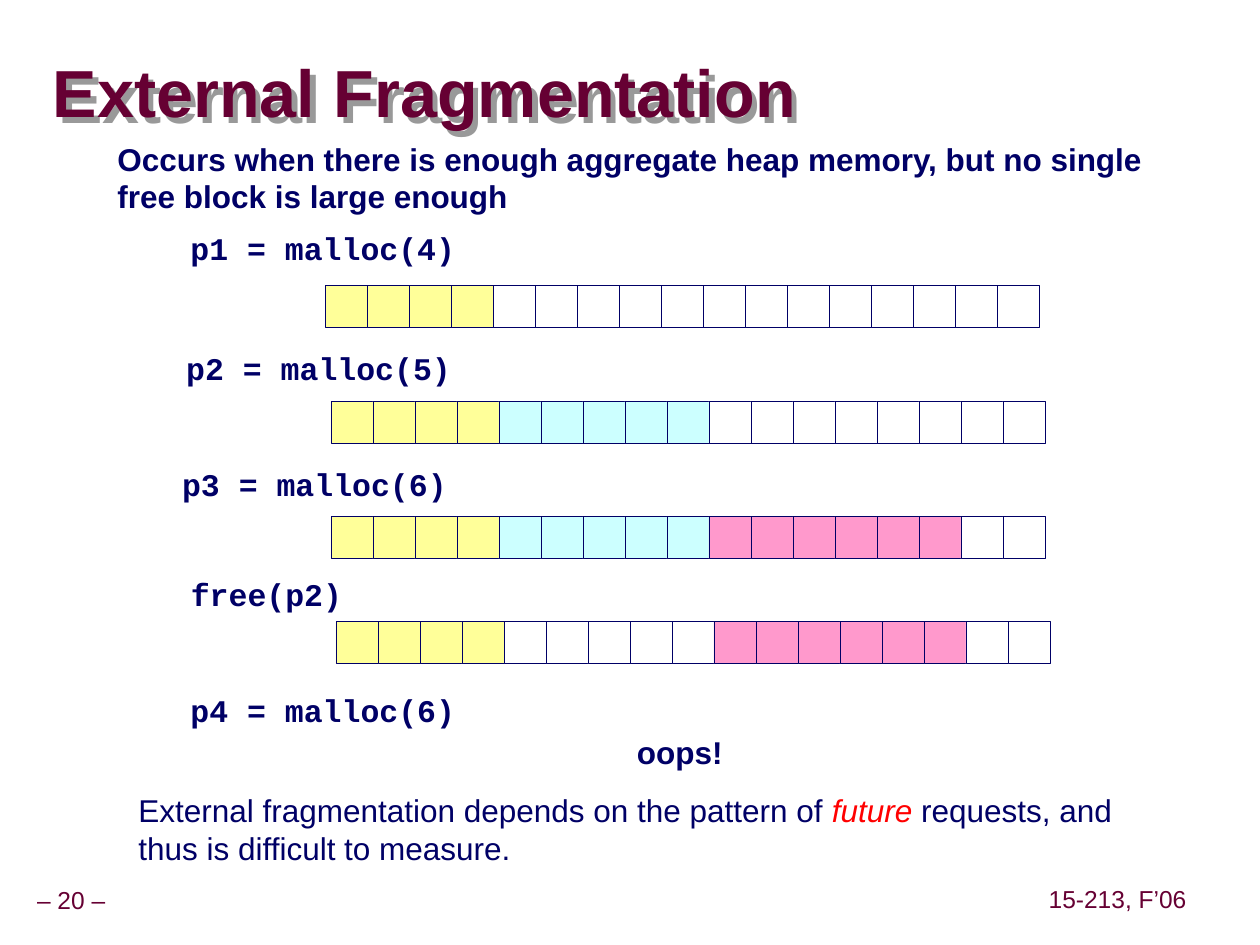
from dataclasses import dataclass
from itertools import chain, repeat

from lxml import etree
from pptx import Presentation
from pptx import util as u
from pptx.dml.color import RGBColor
from pptx.enum import shapes, text
from pptx.oxml.ns import qn
from pptx.slide import Slide

COLUMNS, ROWS = 30, 22.5
UNIT = u.Inches(10) / COLUMNS
HEAP_WORDS = 17


@dataclass(frozen=True)
class Theme:
    maroon: str = "660033"
    navy: str = "000066"
    red: str = "FF0000"
    shadow: str = "999999"
    free: str = "FFFFFF"
    p1: str = "FFFF99"
    p2: str = "CCFFFF"
    p3: str = "FF99CC"
    sans: str = "Arial"
    mono: str = "Courier New"
    title_size: float = 38
    body_size: float = 18
    footer_size: float = 14
    cell_line: float = 0.25


THEME = Theme()


@dataclass(frozen=True)
class Style:
    font: str = THEME.sans
    size: float = THEME.body_size
    color: str = THEME.navy
    bold: bool = True
    inset: tuple[float, float] = (0.1, 0.05)
    spacing: float = 1.0
    align: text.PP_ALIGN = text.PP_ALIGN.LEFT
    anchor: text.MSO_ANCHOR = text.MSO_ANCHOR.TOP
    wrap: bool = False


BODY = Style(wrap=True)
PLAIN = Style(bold=False, wrap=True)
CODE = Style(font=THEME.mono)
TITLE = Style(size=THEME.title_size, color=THEME.maroon, inset=(0, 0), spacing=0.87,
              anchor=text.MSO_ANCHOR.MIDDLE, wrap=True)
FOOTER = Style(size=THEME.footer_size, color=THEME.maroon, bold=False, inset=(0.05, 0.05),
               spacing=0.9, align=text.PP_ALIGN.CENTER, anchor=text.MSO_ANCHOR.MIDDLE)


@dataclass(frozen=True)
class Label:
    """Text placed by grid column and row, spanning a width and height in grid units."""
    content: str
    column: float
    row: float
    width: float
    height: float
    style: Style
    emphasis: str = ""
    shadow: bool = False


@dataclass(frozen=True)
class Heap:
    """A row of words, given as consecutive (count, colour) blocks; the rest is free."""
    column: float
    row: float
    blocks: tuple[tuple[int, str], ...]


P1, P2, P3 = (4, THEME.p1), (5, THEME.p2), (6, THEME.p3)
P2_FREED = (5, THEME.free)

HEAPS = (
    Heap(7.75, 6.8, (P1,)),
    Heap(7.88, 9.55, (P1, P2)),
    Heap(7.88, 12.3, (P1, P2, P3)),
    Heap(8, 14.8, (P1, P2_FREED, P3)),
)

LABELS = (
    Label("– 20 –", -0.27, 21, 3.93, 0.93, FOOTER),
    Label("15-213, F’06", 24.81, 20.97, 3.6, 0.93, FOOTER),
    Label("External Fragmentation", 1.26, 1.36, 22.14, 1.89, TITLE, shadow=True),
    Label("Occurs when there is enough aggregate heap memory, but no single\n"
          "free block is large enough", 2.5, 3.18, 25.5, 2.1, BODY),
    Label("p1 = malloc(4)", 4.24, 5.31, 6.9, 1.2, CODE),
    Label("p2 = malloc(5)", 4.14, 8.16, 6.9, 1.2, CODE),
    Label("p3 = malloc(6)", 4.04, 10.92, 6.9, 1.2, CODE),
    Label("free(p2)", 4.25, 13.55, 4.2, 1.2, CODE),
    Label("p4 = malloc(6)", 4.24, 16.3, 6.9, 1.2, CODE),
    Label("oops!", 14.87, 17.31, 3, 1.2, BODY),
    Label("External fragmentation depends on the pattern of future requests, and\n"
          "thus is difficult to measure.", 3, 18.69, 24.5, 2.1, PLAIN, emphasis="future"),
)


def grid(*lengths: float) -> list[int]:
    return [round(length * UNIT) for length in lengths]


def add_shadow(shape) -> None:
    """Cast a hard grey shadow down and to the right of the text."""
    effects = etree.SubElement(shape._element.spPr, qn("a:effectLst"))
    shadow = etree.SubElement(effects, qn("a:outerShdw"), dist=str(u.Pt(4.5)), dir="2700000",
                              algn="ctr", rotWithShape="0")
    etree.SubElement(shadow, qn("a:srgbClr"), val=THEME.shadow)


def add_label(slide: Slide, label: Label) -> None:
    style = label.style
    shape = slide.shapes.add_textbox(*grid(label.column, label.row, label.width, label.height))
    frame = shape.text_frame
    frame.text = label.content
    frame.word_wrap = style.wrap
    frame.vertical_anchor = style.anchor
    if not style.wrap:
        frame.auto_size = text.MSO_AUTO_SIZE.SHAPE_TO_FIT_TEXT
    frame.margin_left = frame.margin_right = u.Inches(style.inset[0])
    frame.margin_top = frame.margin_bottom = u.Inches(style.inset[1])
    for paragraph in frame.paragraphs:
        paragraph.alignment = style.align
        paragraph.line_spacing = style.spacing
        if label.emphasis and label.emphasis in paragraph.text:
            before, word, after = paragraph.text.partition(label.emphasis)
            paragraph.text = before
            for part in (word, after):
                paragraph.add_run().text = part
        for run in paragraph.runs:
            emphasized = run.text == label.emphasis
            run.font.name = style.font
            run.font.size = u.Pt(style.size)
            run.font.bold = style.bold
            run.font.italic = emphasized
            run.font.color.rgb = RGBColor.from_string(THEME.red if emphasized else style.color)
    if label.shadow:
        add_shadow(shape)


def add_heap(slide: Slide, heap: Heap) -> None:
    used = chain.from_iterable(repeat(color, count) for count, color in heap.blocks)
    colors = chain(used, repeat(THEME.free))
    for word, color in zip(range(HEAP_WORDS), colors):
        cell = slide.shapes.add_shape(shapes.MSO_SHAPE.RECTANGLE,
                                      *grid(heap.column + word, heap.row, 1, 1))
        cell.shadow.inherit = False
        cell.fill.solid()
        cell.fill.fore_color.rgb = RGBColor.from_string(color)
        cell.line.color.rgb = RGBColor.from_string(THEME.navy)
        cell.line.width = u.Pt(THEME.cell_line)


def main() -> None:
    presentation = Presentation()
    presentation.slide_width, presentation.slide_height = grid(COLUMNS, ROWS)
    slide = presentation.slides.add_slide(presentation.slide_layouts[6])
    for heap in HEAPS:
        add_heap(slide, heap)
    for label in LABELS:
        add_label(slide, label)
    presentation.save("out.pptx")


if __name__ == "__main__":
    main()
